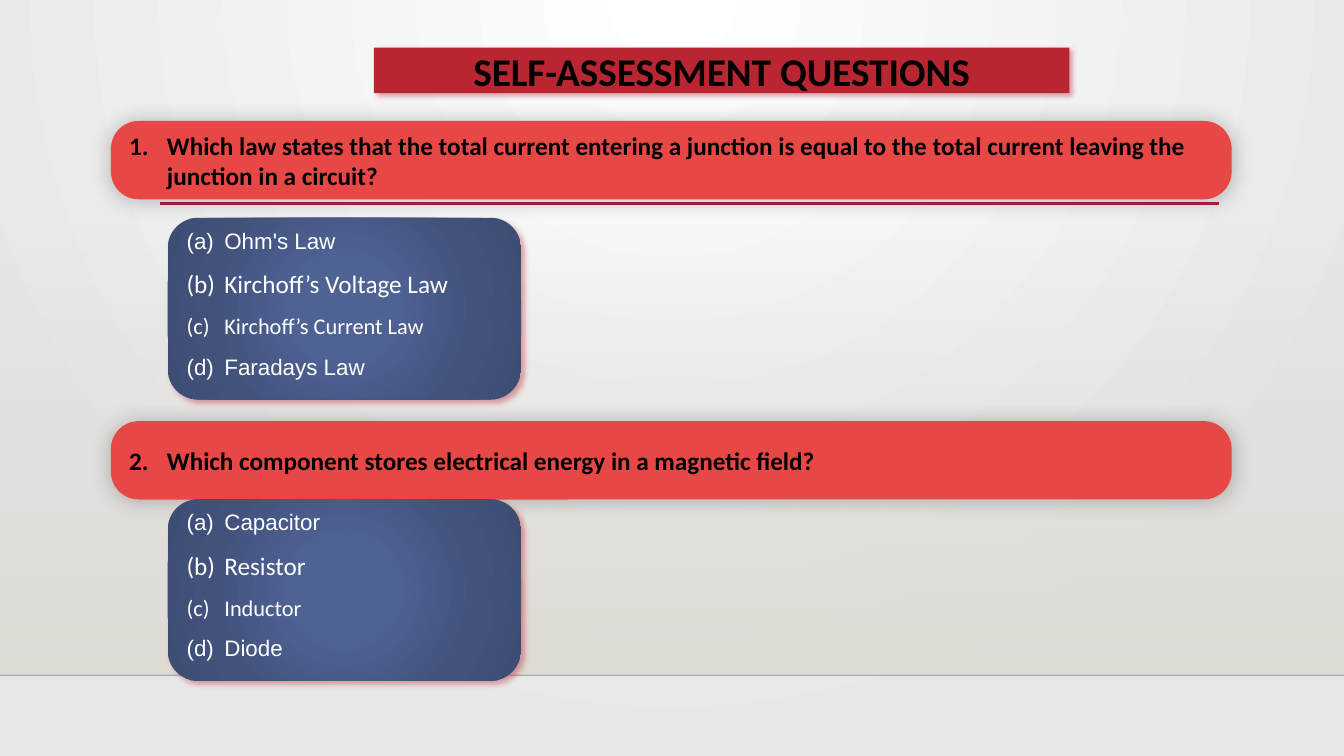
import dataclasses
import typing

import lxml.etree
import pptx
import pptx.dml.color
import pptx.enum.shapes
import pptx.enum.text
import pptx.oxml
import pptx.oxml.ns
import pptx.util

Pt = pptx.util.Pt
RGB = pptx.dml.color.RGBColor.from_string


@dataclasses.dataclass(frozen=True)
class Stop:
    position: int
    color: str
    alpha: int = 100


@dataclasses.dataclass(frozen=True)
class Shadow:
    color: str
    alpha: int
    blur: int
    distance: int
    angle: int


@dataclasses.dataclass(frozen=True)
class TextStyle:
    font: str
    size: int
    color: str
    bold: bool = False


@dataclasses.dataclass(frozen=True)
class Box:
    left: float
    top: float
    width: float
    height: float


@dataclasses.dataclass(frozen=True)
class Question:
    number: int
    wording: str
    options: tuple[str, ...]
    question_top: float
    options_top: float


@dataclasses.dataclass(frozen=True)
class Theme:
    title_fill: str = "BA2532"
    question_fill: str = "E84845"
    rule: str = "B71E42"
    horizon: str = "000001"
    backdrop: tuple[Stop, ...] = (Stop(0, "FFFFFF"), Stop(100, "E7E7E7"))
    floor: tuple[Stop, ...] = (Stop(0, "DFDBD5", 0), Stop(100, "DFDBD5"))
    panel: tuple[Stop, ...] = (
        Stop(0, "4E6294"), Stop(23, "4E6294"), Stop(69, "42527C"), Stop(97, "3E4D74"))
    red_shadow: Shadow = Shadow("BA2532", 40, 4, 3, 45)
    soft_shadow: Shadow = Shadow("000000", 25, 15, 0, 0)
    title: TextStyle = TextStyle("Calibri", 28, "000000", True)
    question: TextStyle = TextStyle("Calibri", 18, "000000", True)
    options: tuple[TextStyle, ...] = (
        TextStyle("Arial", 16, "FFFFFF"), TextStyle("Calibri", 18, "FFFFFF"),
        TextStyle("Calibri", 16, "FFFFFF"), TextStyle("Arial", 16, "FFFFFF"))


THEME = Theme()
INDENT = 27
SLIDE_WIDTH, SLIDE_HEIGHT = 960, 540
QUESTIONS = (
    Question(1, "Which law states that the total current entering a junction is equal "
             "to the total current leaving the junction in a circuit?",
             ("Ohm's Law", "Kirchoff’s Voltage Law", "Kirchoff’s Current Law", "Faradays Law"),
             86.4, 155.6),
    Question(2, "Which component stores electrical energy in a magnetic field?",
             ("Capacitor", "Resistor", "Inductor", "Diode"), 300.8, 356.6),
)


def element(markup: str) -> typing.Any:
    head, mark, tail = markup.partition(" " if " " in markup.split(">")[0] else ">")
    if head.endswith("/"):
        head, mark = head[:-1], "/" + mark
    return pptx.oxml.parse_xml(f"{head} {pptx.oxml.ns.nsdecls('a')}{mark}{tail}")


def color_xml(color: str, alpha: int = 100) -> str:
    return f'<a:srgbClr val="{color}"><a:alpha val="{alpha * 1000}"/></a:srgbClr>'


def solid_xml(color: str) -> str:
    return f"<a:solidFill>{color_xml(color)}</a:solidFill>"


def gradient_xml(stops: tuple[Stop, ...], direction: str) -> str:
    marks = "".join(f'<a:gs pos="{stop.position * 1000}">{color_xml(stop.color, stop.alpha)}</a:gs>'
                    for stop in stops)
    return f'<a:gradFill rotWithShape="1"><a:gsLst>{marks}</a:gsLst>{direction}</a:gradFill>'


def radial_xml(stops: tuple[Stop, ...], left: int, top: int, right: int, bottom: int) -> str:
    focus = (f'<a:path path="circle"><a:fillToRect l="{left * 1000}" t="{top * 1000}" '
             f'r="{right * 1000}" b="{bottom * 1000}"/></a:path>')
    return gradient_xml(stops, focus)


def shadow_xml(shadow: Shadow) -> str:
    return (f'<a:effectLst><a:outerShdw blurRad="{Pt(shadow.blur)}" dist="{Pt(shadow.distance)}" '
            f'dir="{shadow.angle * 60000}" algn="ctr" rotWithShape="0">'
            f"{color_xml(shadow.color, shadow.alpha)}</a:outerShdw></a:effectLst>")


def paint_backdrop(slide: typing.Any) -> None:
    slide.background.fill.solid()
    properties = slide.element.xpath(".//p:bgPr")[0]
    properties.replace(properties[0], element(radial_xml(THEME.backdrop, 43, 0, 43, 100)))


def draw_floor(slide: typing.Any, box: Box) -> None:
    floor = slide.shapes.add_shape(
        pptx.enum.shapes.MSO_SHAPE.RECTANGLE,
        Pt(box.left), Pt(box.top), Pt(box.width), Pt(box.height))
    floor.shadow.inherit = False
    floor.line.fill.background()
    floor.fill.solid()
    properties = floor.element.spPr
    properties.replace(properties.find(pptx.oxml.ns.qn("a:solidFill")), element(
        gradient_xml(THEME.floor, '<a:lin ang="5400000" scaled="0"/>')))


def draw_rule(slide: typing.Any, left: float, right: float, top: float,
              color: str, weight: float, alpha: int = 100) -> None:
    rule = slide.shapes.add_connector(
        pptx.enum.shapes.MSO_CONNECTOR.STRAIGHT, Pt(left), Pt(top), Pt(right), Pt(top))
    rule.line.color.rgb = RGB(color)
    rule.line.width = Pt(weight)
    tint = rule.element.spPr.find(".//" + pptx.oxml.ns.qn("a:srgbClr"))
    tint.append(element(f'<a:alpha val="{alpha * 1000}"/>'))
    rule.element.spPr.append(element("<a:effectLst/>"))


def shape_panel(slide: typing.Any, panel: typing.Any, box: Box, fill: str,
                shadow: Shadow, corner: int = 16667, bottom_margin: float = 3.6) -> None:
    panel.left, panel.top = Pt(box.left), Pt(box.top)
    panel.width, panel.height = Pt(box.width), Pt(box.height)
    outline = (f'<a:prstGeom prst="roundRect"><a:avLst><a:gd name="adj" fmla="val {corner}"/>'
               "</a:avLst></a:prstGeom>")
    for markup in (outline, fill, "<a:ln><a:noFill/></a:ln>", shadow_xml(shadow)):
        panel.element.spPr.append(element(markup))
    frame = panel.text_frame
    frame.word_wrap = True
    frame.auto_size = pptx.enum.text.MSO_AUTO_SIZE.NONE
    frame.vertical_anchor = pptx.enum.text.MSO_ANCHOR.MIDDLE
    frame.margin_left = frame.margin_right = Pt(7.2)
    frame.margin_top, frame.margin_bottom = Pt(3.6), Pt(bottom_margin)
    slide.shapes.element.append(panel.element)


def write(paragraph: typing.Any, style: TextStyle, spacing: float = 1,
          numbering: str = "", start: int = 1) -> None:
    if numbering:
        properties = paragraph._p.get_or_add_pPr()
        properties.set("marL", str(Pt(INDENT)))
        properties.set("indent", str(Pt(-INDENT)))
        properties.append(element("<a:buFontTx/>"))
        properties.append(element(f'<a:buAutoNum type="{numbering}" startAt="{start}"/>'))
    align = pptx.enum.text.PP_ALIGN
    paragraph.alignment = align.LEFT if numbering else align.CENTER
    paragraph.line_spacing = spacing
    paragraph.space_before = paragraph.space_after = Pt(0)
    for run in paragraph.runs:
        run.font.name, run.font.size = style.font, Pt(style.size)
        run.font.bold = style.bold
        run.font.color.rgb = RGB(style.color)


def draw_question(slide: typing.Any, question: Question, prompt: typing.Any,
                  choices: typing.Any) -> None:
    shape_panel(slide, prompt, Box(79.2, question.question_top, 800.6, 56),
                solid_xml(THEME.question_fill), THEME.soft_shadow, corner=35600)
    prompt.text_frame.text = question.wording
    write(prompt.text_frame.paragraphs[0], THEME.question,
          numbering="arabicPeriod", start=question.number)
    shape_panel(slide, choices, Box(119.8, question.options_top, 252.4, 129.8),
                radial_xml(THEME.panel, 50, 50, 50, 50), THEME.red_shadow, bottom_margin=21)
    choices.text_frame.text = "\n".join(question.options)
    for paragraph, style in zip(choices.text_frame.paragraphs, THEME.options):
        write(paragraph, style, 1.5, "alphaLcParenBoth")


def main() -> None:
    deck = pptx.Presentation()
    deck.slide_width, deck.slide_height = Pt(SLIDE_WIDTH), Pt(SLIDE_HEIGHT)
    slide = deck.slides.add_slide(deck.slide_layouts.get_by_name("Comparison"))
    title, *parts = slide.placeholders
    paint_backdrop(slide)
    draw_floor(slide, Box(0, 159, SLIDE_WIDTH, 323.4))
    draw_rule(slide, 0, SLIDE_WIDTH, 482.4, THEME.horizon, 1, 20)
    draw_rule(slide, 114.5, 871, 145.4, THEME.rule, 2.5)
    shape_panel(slide, title, Box(267, 34, 496.8, 32.6),
                solid_xml(THEME.title_fill), THEME.red_shadow)
    title.text_frame.text = "SELF-ASSESSMENT QUESTIONS"
    write(title.text_frame.paragraphs[0], THEME.title)
    for question, prompt, choices in zip(QUESTIONS, parts[::2], parts[1::2]):
        draw_question(slide, question, prompt, choices)
    deck.save("out.pptx")


if __name__ == "__main__":
    main()
